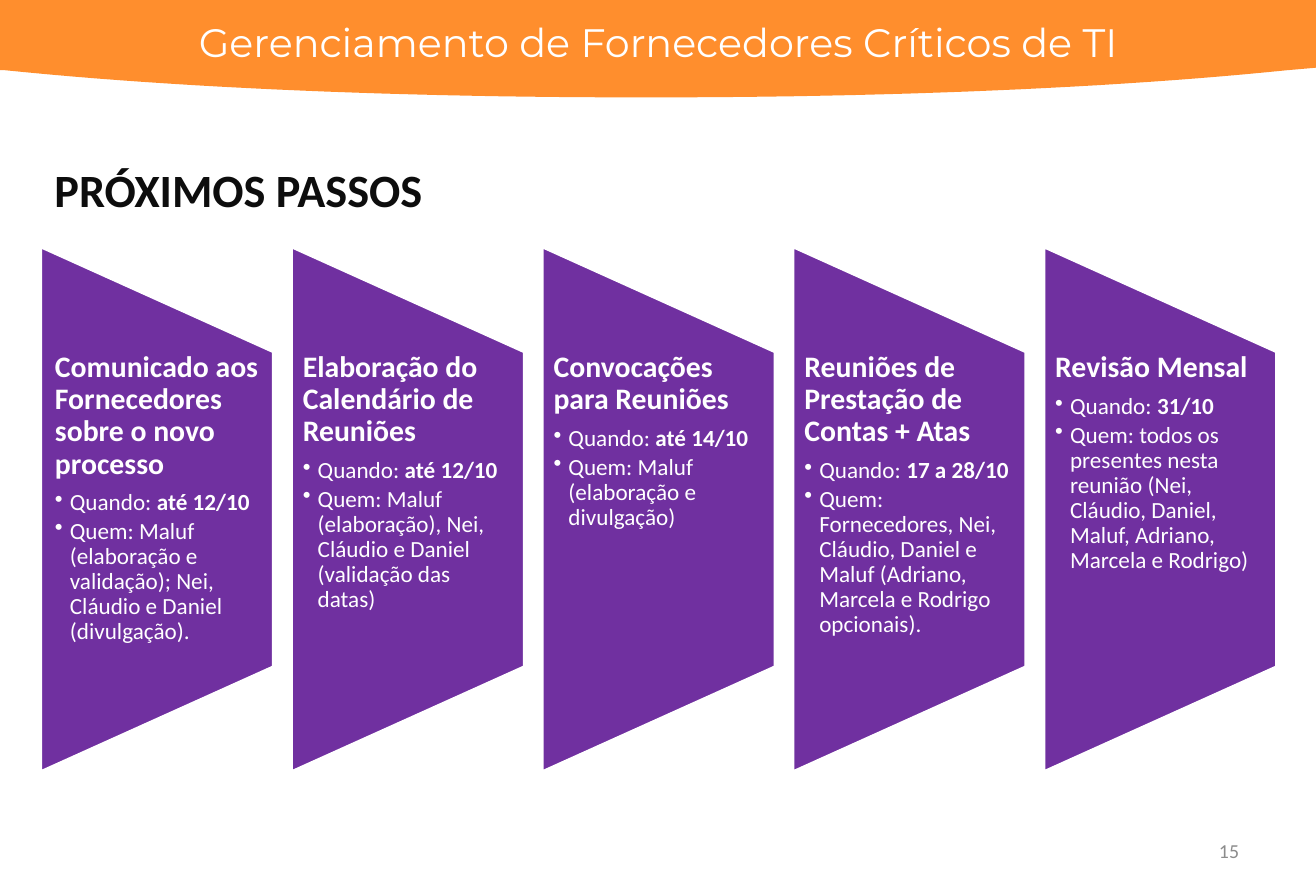
from lxml.etree import SubElement
from pptx import Presentation
from pptx.dml.color import RGBColor
from pptx.enum.shapes import MSO_SHAPE as Preset
from pptx.enum.text import MSO_ANCHOR as Anchor, PP_ALIGN as Align
from pptx.oxml.ns import qn
from pptx.util import Pt

ORANGE = RGBColor(0xFF, 0x8E, 0x2D)
PURPLE = RGBColor(0x70, 0x30, 0xA0)
WHITE = RGBColor(0xFF, 0xFF, 0xFF)
BLACK = RGBColor(0x0D, 0x0D, 0x0D)
GRAY = RGBColor(0x8C, 0x8C, 0x8C)

WIDTH, HEIGHT = 796.3, 540
PANEL_LEFT, PANEL_STEP = 24.5, 151.75
PANEL_WIDTH, PANEL_HEIGHT, PANEL_MIDDLE = 141.1, 318.2, 308.3
BODY_TOP, BODY_HEIGHT = 213.1, 190.8
CURVE_STEPS = 24

STEPS = [
    ("Comunicado aos Fornecedores sobre o novo processo", "até 12/10",
     "Maluf (elaboração e validação); Nei, Cláudio e Daniel (divulgação).", 8.8),
    ("Elaboração do Calendário de Reuniões", "até 12/10",
     "Maluf (elaboração), Nei, Cláudio e Daniel (validação das datas)", 7),
    ("Convocações para Reuniões", "até 14/10",
     "Maluf (elaboração e divulgação)", 7),
    ("Reuniões de Prestação de Contas + Atas", "17 a 28/10",
     "Fornecedores, Nei, Cláudio, Daniel e Maluf (Adriano, Marcela e Rodrigo opcionais).", 7),
    ("Revisão Mensal", "31/10",
     "todos os presentes nesta reunião (Nei, Cláudio, Daniel, Maluf, Adriano, Marcela e Rodrigo)", 7),
]


def bezier(start, first, second, end):
    for step in range(1, CURVE_STEPS + 1):
        t = step / CURVE_STEPS
        weights = ((1 - t) ** 3, 3 * t * (1 - t) ** 2, 3 * t * t * (1 - t), t ** 3)
        yield tuple(sum(weight * point[axis] for weight, point
                        in zip(weights, (start, first, second, end)))
                    for axis in (0, 1))


class SlideBuilder:
    def __init__(self, slide, font="Calibri"):
        self.slide = slide
        self.font = font

    def style(self, paragraph, size, color, bold=None, font=None):
        paragraph.font.name = font or self.font
        paragraph.font.size = Pt(size)
        paragraph.font.color.rgb = color
        paragraph.font.bold = bold

    def banner(self):
        left, bottom, right = (2.9, 42.5), (391, 59), (779, 42.5)
        outline = [(WIDTH, 0), (WIDTH, 41), right,
                   *bezier(right, (673.9, 53.3), (538.6, 59), bottom),
                   *bezier(bottom, (243.4, 59), (108, 53.3), left), (0, 42.5)]
        builder = self.slide.shapes.build_freeform(0, 0)
        builder.add_line_segments([(Pt(x), Pt(y)) for x, y in outline])
        shape = builder.convert_to_shape()
        shape.shadow.inherit = False
        shape.fill.solid()
        shape.fill.fore_color.rgb = ORANGE
        shape.line.fill.background()

    def frame(self, left, top, width, height, anchor=Anchor.TOP):
        box = self.slide.shapes.add_textbox(Pt(left), Pt(top), Pt(width), Pt(height))
        frame = box.text_frame
        frame.word_wrap = True
        frame.vertical_anchor = anchor
        return frame

    def label(self, text, bounds, align, size, color, anchor=Anchor.TOP, **style):
        paragraph = self.frame(*bounds, anchor=anchor).paragraphs[0]
        paragraph.text = text
        paragraph.alignment = align
        self.style(paragraph, size, color, **style)

    def panel(self, left):
        shape = self.slide.shapes.add_shape(
            Preset.FLOWCHART_MANUAL_OPERATION,
            Pt(left + (PANEL_WIDTH - PANEL_HEIGHT) / 2),
            Pt(PANEL_MIDDLE - PANEL_WIDTH / 2), Pt(PANEL_HEIGHT), Pt(PANEL_WIDTH))
        shape.rotation = 270
        shape.shadow.inherit = False
        shape.fill.solid()
        shape.fill.fore_color.rgb = PURPLE
        shape.line.color.rgb = WHITE
        shape.line.width = Pt(2)

    def bullet(self, frame, text, bold_text=""):
        paragraph = frame.add_paragraph()
        paragraph.level = 1
        properties = paragraph._p.get_or_add_pPr()
        properties.set("marL", str(Pt(9)))
        properties.set("indent", str(Pt(-9)))
        SubElement(properties, qn("a:buChar")).set("char", "•")
        paragraph.line_spacing = 0.9
        paragraph.space_after = Pt(2.1)
        self.style(paragraph, 14, WHITE)
        paragraph.add_run().text = text
        if bold_text:
            run = paragraph.add_run()
            run.text = bold_text
            run.font.bold = True

    def step(self, left, heading, when, who, inset):
        self.panel(left)
        frame = self.frame(left, BODY_TOP, PANEL_WIDTH, BODY_HEIGHT)
        frame.margin_left = frame.margin_right = Pt(inset)
        frame.margin_top = frame.margin_bottom = 0
        paragraph = frame.paragraphs[0]
        paragraph.text = heading
        paragraph.line_spacing = 0.9
        paragraph.space_after = Pt(6.3)
        self.style(paragraph, 18, WHITE, bold=True)
        self.bullet(frame, "Quando: ", when)
        self.bullet(frame, f"Quem: {who}")


def main():
    presentation = Presentation()
    presentation.slide_width = Pt(WIDTH)
    presentation.slide_height = Pt(HEIGHT)
    builder = SlideBuilder(presentation.slides.add_slide(presentation.slide_layouts[6]))
    builder.banner()
    builder.label("15", (571, 500.4, 185.8, 28.8), Align.RIGHT, 12, GRAY, Anchor.MIDDLE)
    builder.label("Gerenciamento de Fornecedores Críticos de TI",
                  (40.3, 7.2, 715.7, 36), Align.CENTER, 24, WHITE, font="Montserrat")
    builder.label("PRÓXIMOS PASSOS", (25.9, 94.2, 257, 41), Align.JUSTIFY, 28, BLACK, bold=True)
    for index, step in enumerate(STEPS):
        builder.step(PANEL_LEFT + index * PANEL_STEP, *step)
    presentation.save("out.pptx")


if __name__ == "__main__":
    main()
